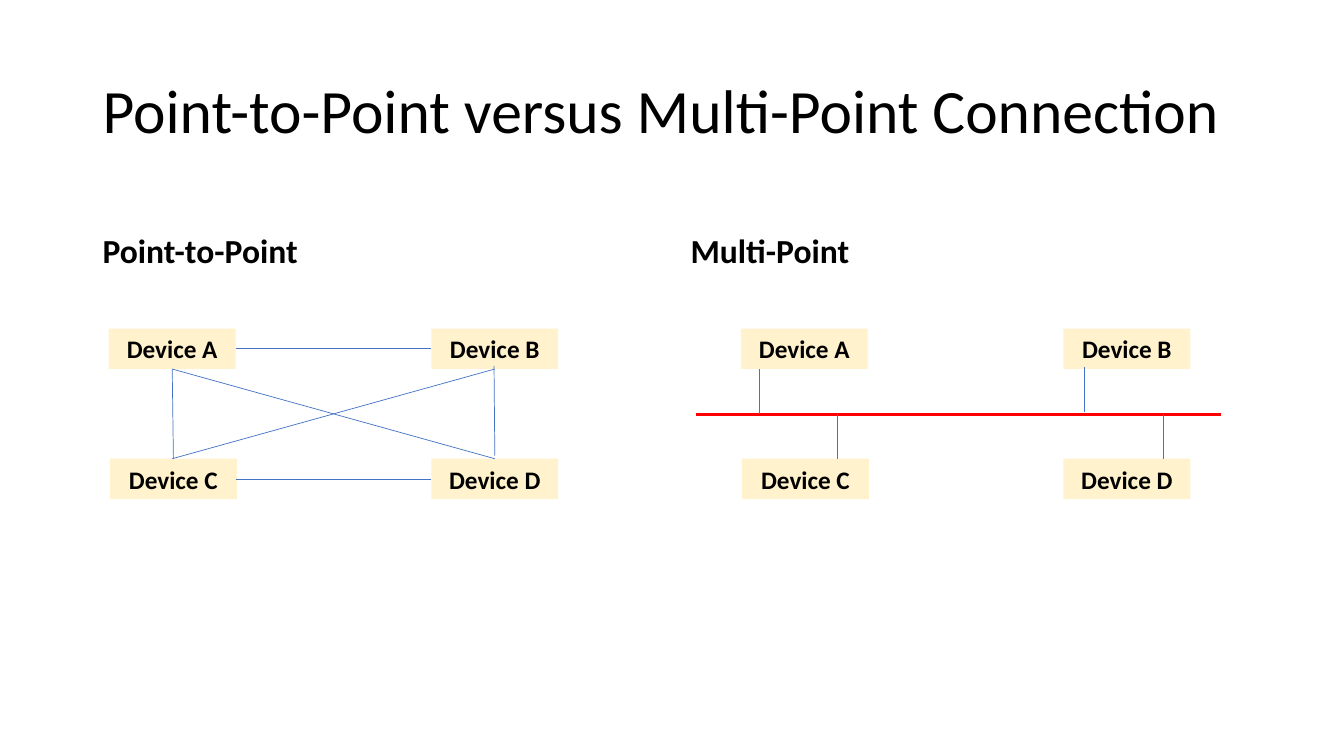
"""Build a slide comparing point-to-point and multi-point connections."""
from dataclasses import dataclass

from lxml import etree
from pptx import Presentation
from pptx.dml.color import RGBColor
from pptx.enum.shapes import MSO_CONNECTOR, MSO_SHAPE
from pptx.enum.text import MSO_ANCHOR, MSO_AUTO_SIZE, PP_ALIGN
from pptx.oxml.ns import qn
from pptx.util import Cm, Pt

STRAIGHT = MSO_CONNECTOR.STRAIGHT
RECTANGLE = MSO_SHAPE.RECTANGLE
LEFT, CENTER = PP_ALIGN.LEFT, PP_ALIGN.CENTER
MIDDLE, BOTTOM = MSO_ANCHOR.MIDDLE, MSO_ANCHOR.BOTTOM
NO_AUTOFIT, FIT_SHAPE = MSO_AUTO_SIZE.NONE, MSO_AUTO_SIZE.SHAPE_TO_FIT_TEXT

COLORS = {"text": "000000", "device": "FFF2CC", "link": "4472C4", "bus": "FF0000"}
FONT = "Calibri"
BOX_W, BOX_H = 3.2, 1.02
COL_PITCH, ROW_PITCH = 8.13, 3.28
TOP = 8.28
MESH_LEFT, BUS_LEFT = 2.74, 18.67
TOP_EDGE, BOTTOM_EDGE = TOP + BOX_H, TOP + ROW_PITCH
TOP_MID = TOP + BOX_H / 2
BUS_Y = 10.44


@dataclass
class Heading:
    idx: int
    text: str
    left: float
    top: float
    width: float
    height: float
    size: int
    bold: bool
    anchor: MSO_ANCHOR
    space_before: int


@dataclass
class Device:
    name: str
    col: int
    row: int
    shift: float = 0


@dataclass
class Link:
    x1: float
    y1: float
    x2: float
    y2: float
    color: str = "link"
    width: float = 0.5


HEADINGS = [
    Heading(0, "Point-to-Point versus Multi-Point Connection",
            2.33, 1.01, 29.21, 3.68, 44, False, MIDDLE, 0),
    Heading(1, "Point-to-Point", 2.33, 4.67, 14.33, 2.29, 24, True, BOTTOM, 10),
    Heading(3, "Multi-Point", 17.15, 4.67, 14.4, 2.29, 24, True, BOTTOM, 10),
]
DEVICES = [
    Device("Device A", 0, 0),
    Device("Device C", 0, 1, 0.03),
    Device("Device B", 1, 0),
    Device("Device D", 1, 1),
]
MESH_A = MESH_LEFT + BOX_W / 2
MESH_B = MESH_A + COL_PITCH
MESH_LINKS = [
    Link(MESH_LEFT + BOX_W, TOP_MID, MESH_LEFT + COL_PITCH, TOP_MID),
    Link(MESH_LEFT + BOX_W, TOP_MID + ROW_PITCH + 0.02,
         MESH_LEFT + COL_PITCH, TOP_MID + ROW_PITCH + 0.02),
    Link(MESH_A, TOP_EDGE, MESH_A + 0.03, BOTTOM_EDGE),
    Link(MESH_B - 0.02, TOP_EDGE - 0.08, MESH_B, BOTTOM_EDGE - 0.08),
    Link(MESH_A, TOP_EDGE, MESH_B, BOTTOM_EDGE),
    Link(MESH_A, BOTTOM_EDGE, MESH_B, TOP_EDGE),
]
BUS_LINKS = [
    Link(17.55, BUS_Y, 30.78, BUS_Y, "bus", 2.25),
    Link(19.13, TOP_EDGE, 19.13, BUS_Y),
    Link(21.11, BUS_Y, 21.11, BOTTOM_EDGE),
    Link(29.31, BUS_Y, 29.31, BOTTOM_EDGE),
    Link(27.33, TOP_EDGE - 0.05, 27.33, BUS_Y - 0.05),
]


def rgb(name: str) -> RGBColor:
    return RGBColor.from_string(COLORS[name])


def write(sp, text: str, size: int, bold: bool, align: PP_ALIGN):
    p = sp.text_frame.paragraphs[0]
    p.text = text
    p.alignment = align
    p.font.name = FONT
    p.font.size = Pt(size)
    p.font.bold = bold
    p.font.color.rgb = rgb("text")
    return p


def add_heading(slide, heading: Heading) -> None:
    sp = slide.placeholders[heading.idx]
    sp.left, sp.top = Cm(heading.left), Cm(heading.top)
    sp.width, sp.height = Cm(heading.width), Cm(heading.height)
    p = write(sp, heading.text, heading.size, heading.bold, LEFT)
    p.line_spacing = 0.9
    p.space_before = Pt(heading.space_before)
    tf = sp.text_frame
    tf.auto_size = NO_AUTOFIT
    tf.vertical_anchor = heading.anchor


def add_device(slide, device: Device, left: float) -> None:
    x = left + device.col * COL_PITCH + device.shift
    y = TOP + device.row * ROW_PITCH
    sp = slide.shapes.add_shape(RECTANGLE, Cm(x), Cm(y), Cm(BOX_W), Cm(BOX_H))
    sp.shadow.inherit = False
    sp.fill.solid()
    sp.fill.fore_color.rgb = rgb("device")
    sp.line.fill.background()
    write(sp, device.name, 18, True, CENTER)
    tf = sp.text_frame
    tf.word_wrap = True
    tf.auto_size = FIT_SHAPE


def add_link(slide, link: Link) -> None:
    line = slide.shapes.add_connector(
        STRAIGHT, Cm(link.x1), Cm(link.y1), Cm(link.x2), Cm(link.y2))
    line.line.color.rgb = rgb(link.color)
    line.line.width = Pt(link.width)
    etree.SubElement(line._element.spPr, qn("a:effectLst"))


def main() -> None:
    prs = Presentation()
    prs.slide_width, prs.slide_height = Cm(33.87), Cm(19.05)
    slide = prs.slides.add_slide(prs.slide_layouts.get_by_name("Comparison"))
    for heading in HEADINGS:
        add_heading(slide, heading)
    used = {heading.idx for heading in HEADINGS}
    for sp in list(slide.placeholders):
        if sp.placeholder_format.idx not in used:
            sp._element.getparent().remove(sp._element)
    for left, links in ((MESH_LEFT, MESH_LINKS), (BUS_LEFT, BUS_LINKS)):
        for device in DEVICES:
            add_device(slide, device, left)
        for link in links:
            add_link(slide, link)
    prs.save("out.pptx")


if __name__ == "__main__":
    main()
